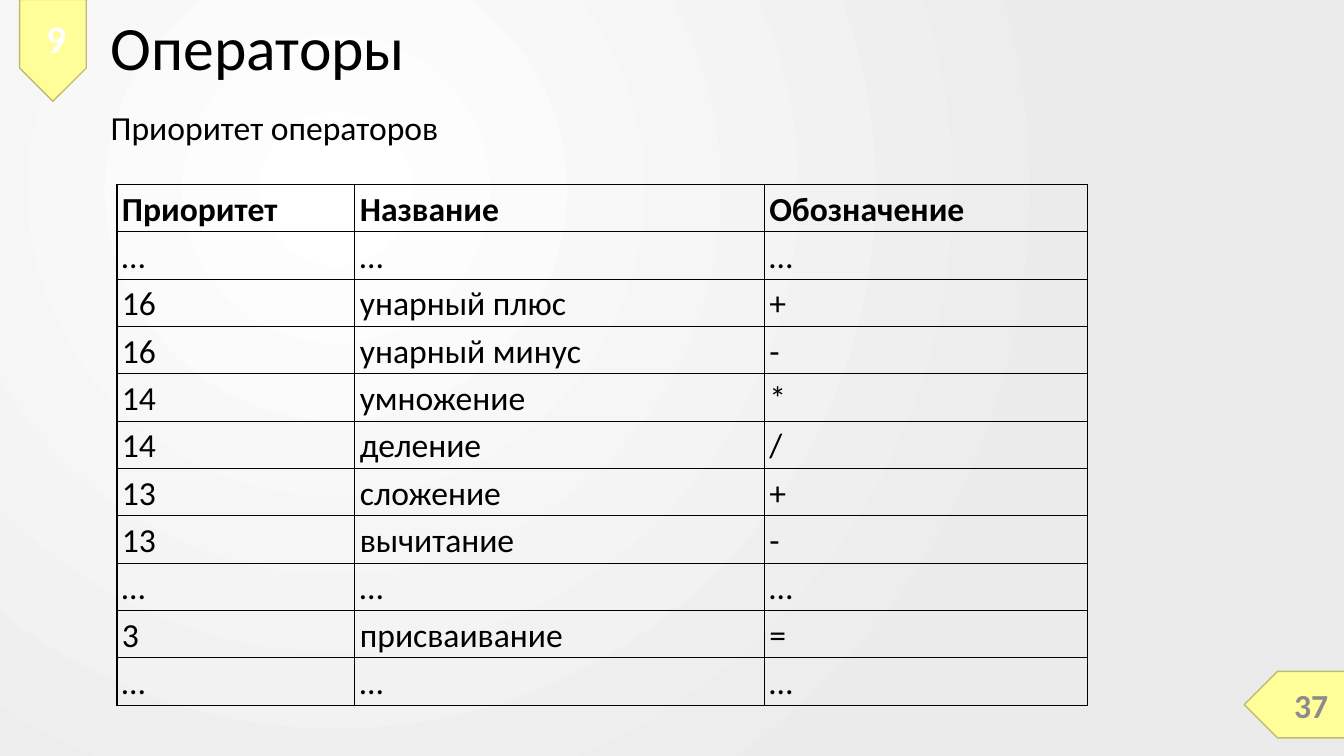
from pptx import Presentation
from pptx.dml.color import RGBColor
from pptx.enum.shapes import MSO_SHAPE
from pptx.enum.text import MSO_ANCHOR, PP_ALIGN
from pptx.oxml import parse_xml
from pptx.oxml.ns import nsdecls
from pptx.util import Inches, Pt

BLACK = RGBColor(0x00, 0x00, 0x00)
WHITE = RGBColor(0xFF, 0xFF, 0xFF)
PALE_GREY = RGBColor(0xEB, 0xEB, 0xEB)
GREY = RGBColor(0x8C, 0x8C, 0x8C)
YELLOW = RGBColor(0xFF, 0xFE, 0x99)
OLIVE = RGBColor(0xBD, 0xBC, 0x71)

PRIORITIES = [
    ("Приоритет", "Название", "Обозначение"),
    ("…", "…", "…"),
    ("16", "унарный плюс", "+"),
    ("16", "унарный минус", "-"),
    ("14", "умножение", "*"),
    ("14", "деление", "/"),
    ("13", "сложение", "+"),
    ("13", "вычитание", "-"),
    ("…", "…", "…"),
    ("3", "присваивание", "="),
    ("…", "…", "…"),
]
COLUMN_WIDTHS = (2.36, 4.06, 3.21)
TABLE_HEIGHT = 5.17


def write_text(frame, text, size=24, color=BLACK, bold=False,
               align=PP_ALIGN.LEFT, spacing=None):
    para = frame.paragraphs[0]
    para.alignment = align
    para.line_spacing = spacing
    span = para.add_run()
    span.text = text
    span.font.name = "Calibri"
    span.font.size = Pt(size)
    span.font.bold = bold
    span.font.color.rgb = color


def add_label(page, text, left, top, width, height,
              anchor=MSO_ANCHOR.MIDDLE, wrap=True, **style):
    box = page.shapes.add_textbox(Inches(left), Inches(top), Inches(width), Inches(height))
    box.text_frame.word_wrap = wrap
    box.text_frame.vertical_anchor = anchor
    write_text(box.text_frame, text, **style)


def add_tag(page, left, top, rotation):
    tag = page.shapes.add_shape(MSO_SHAPE.PENTAGON, Inches(left), Inches(top),
                                Inches(1.01), Inches(0.66))
    tag.rotation = rotation
    tag.shadow.inherit = False
    tag.fill.solid()
    tag.fill.fore_color.rgb = YELLOW
    tag.line.color.rgb = OLIVE
    tag.line.width = Pt(1)


def paint_background(page):
    fill = page.background.fill
    fill.gradient()
    for stop, color in zip(fill.gradient_stops, (WHITE, PALE_GREY)):
        stop.color.rgb = color
    linear = page.element.xpath(".//a:gradFill/a:lin")[0]
    linear.getparent().replace(linear, parse_xml(
        f'<a:path {nsdecls("a")} path="circle">'
        '<a:fillToRect l="50000" t="50000" r="100000" b="100000"/></a:path>'))


def draw_borders(cell):
    properties = cell._tc.get_or_add_tcPr()
    for index, side in enumerate("LRTB"):
        properties.insert(index, parse_xml(
            f'<a:ln{side} {nsdecls("a")} w="{Pt(1)}"><a:solidFill>'
            f'<a:srgbClr val="{BLACK}"/></a:solidFill></a:ln{side}>'))


def add_priority_table(page):
    table = page.shapes.add_table(
        len(PRIORITIES), len(COLUMN_WIDTHS), Inches(1.16), Inches(1.83),
        Inches(sum(COLUMN_WIDTHS)), Inches(TABLE_HEIGHT)).table
    table.first_row = False
    table.horz_banding = False
    for column, width in zip(table.columns, COLUMN_WIDTHS):
        column.width = Inches(width)
    for row_index, values in enumerate(PRIORITIES):
        header = row_index == 0
        for column_index, value in enumerate(values):
            cell = table.cell(row_index, column_index)
            cell.fill.background()
            cell.margin_left = Inches(0.05)
            cell.margin_right = Inches(0.17)
            cell.margin_top = cell.margin_bottom = Inches(0.02)
            cell.vertical_anchor = MSO_ANCHOR.BOTTOM if header else MSO_ANCHOR.MIDDLE
            write_text(cell.text_frame, value, bold=header, spacing=1.07)
            draw_borders(cell)


def main():
    deck = Presentation()
    deck.slide_width = Inches(13.33)
    deck.slide_height = Inches(7.5)
    page = deck.slides.add_slide(deck.slide_layouts[6])
    paint_background(page)
    add_tag(page, 12.34, 6.66, 180)
    add_tag(page, 0.02, 0.17, 90)
    add_label(page, "9", 0.16, 0.08, 0.8, 0.6, size=28, color=WHITE, bold=True,
              align=PP_ALIGN.CENTER)
    add_label(page, "Операторы", 1, 0, 9.75, 1.01, size=44, spacing=0.9)
    add_label(page, "37", 12.42, 6.79, 0.85, 0.4, color=GREY, bold=True,
              align=PP_ALIGN.RIGHT)
    add_label(page, "Приоритет операторов", 1, 1.01, 4.16, 0.5,
              anchor=MSO_ANCHOR.TOP, wrap=False)
    add_priority_table(page)
    deck.save("out.pptx")


if __name__ == "__main__":
    main()
